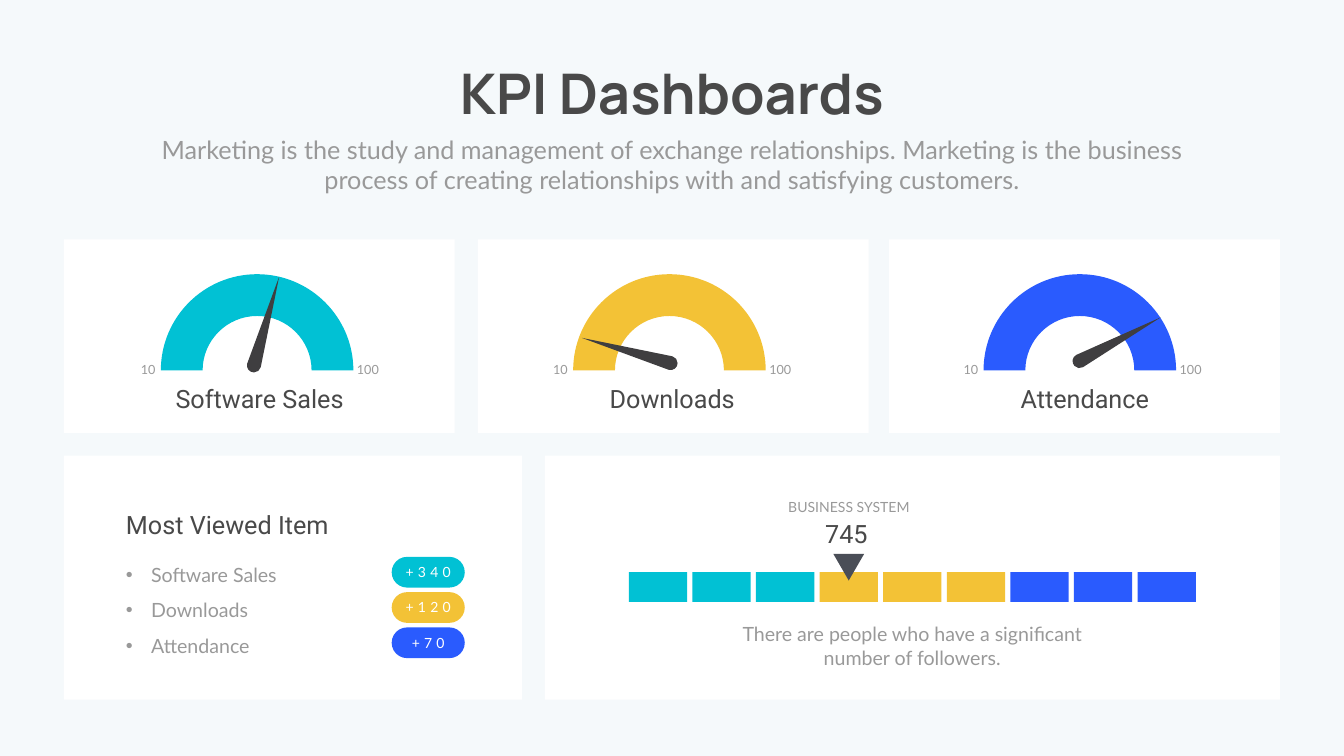
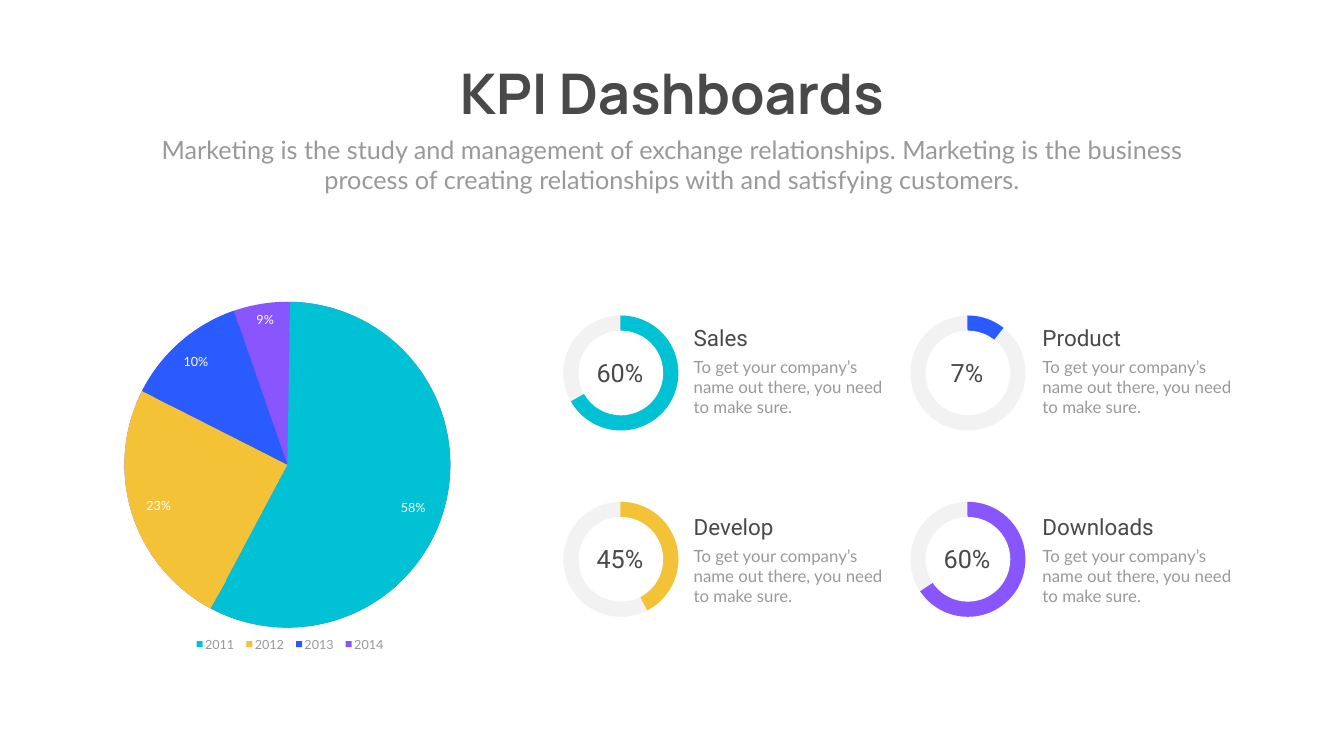
import math

from pptx import Presentation
from pptx import util as u
from pptx.dml.color import RGBColor
from pptx.enum import shapes, text
from pptx.oxml.ns import qn

Pt = u.Pt
SHAPE = shapes.MSO_SHAPE
ALIGN = text.PP_ALIGN

WHITE = RGBColor(0xFF, 0xFF, 0xFF)
PALE = RGBColor(0xF5, 0xF9, 0xFB)
TRACK = RGBColor(0xF2, 0xF2, 0xF2)
INK = RGBColor(0x49, 0x49, 0x49)
GREY = RGBColor(0x99, 0x99, 0x99)
NEEDLE = RGBColor(0x3F, 0x3E, 0x40)
MARKER = RGBColor(0x4A, 0x4E, 0x57)
CYAN = RGBColor(0x01, 0xC1, 0xD4)
YELLOW = RGBColor(0xF3, 0xC2, 0x36)
BLUE = RGBColor(0x2A, 0x5B, 0xFE)
PURPLE = RGBColor(0x89, 0x56, 0xFD)

SLIDE_W, SLIDE_H = 1919.52, 1080


def font(size, name, color, **extra):
    return {"size": Pt(size), "name": name, "color": color, **extra}


TITLE = font(80, "Manrope", INK, bold=True)
SUBTITLE = font(36, "Lato", GREY)
HEADING = font(36, "Roboto", INK)
RING_HEADING = font(32, "Roboto", INK)
BODY = font(28, "Lato", GREY)
RING_BODY = font(24, "Lato", GREY)
CAPTION = font(20, "Lato", GREY)
BADGE = font(20, "Lato", WHITE)
SMALL = font(18, "Lato", GREY)
SLICE = font(18, "Lato", WHITE)


def style_font(f, style):
    for key, value in style.items():
        if key == "color":
            f.color.rgb = value
        else:
            setattr(f, key, value)


def add_text(slide, x, y, w, h, lines, style, align=ALIGN.LEFT, wrap=True, spacing=None,
             bullet=False, tracking=0):
    tf = slide.shapes.add_textbox(Pt(x), Pt(y), Pt(w), Pt(h)).text_frame
    tf.word_wrap = wrap
    tf.auto_size = text.MSO_AUTO_SIZE.SHAPE_TO_FIT_TEXT
    tf.text = lines
    for p in tf.paragraphs:
        p.alignment = align
        if spacing:
            p.line_spacing = spacing
        if bullet:
            add_bullet(p)
        r = p.runs[0]
        style_font(r.font, style)
        if tracking:
            r.font._element.set("spc", str(tracking * 100))


def add_bullet(p, indent=Pt(36)):
    pPr = p._p.get_or_add_pPr()
    pPr.set("marL", str(indent))
    pPr.set("indent", str(-indent))
    pPr.append(pPr.makeelement(qn("a:buFont"), {"typeface": "Arial"}))
    pPr.append(pPr.makeelement(qn("a:buChar"), {"char": "•"}))


def paint(sp, fill, line_width=0):
    sp.shadow.inherit = False
    sp.fill.solid()
    sp.fill.fore_color.rgb = fill
    if line_width:
        sp.line.color.rgb = fill
        sp.line.width = Pt(line_width)
    else:
        sp.line.fill.background()
    return sp


def add_shape(slide, kind, x, y, w, h, fill, line_width=0):
    return paint(slide.shapes.add_shape(kind, Pt(x), Pt(y), Pt(w), Pt(h)), fill, line_width)


def add_sector(slide, kind, x, y, size, start, end, fill, line_width=0):
    """Pie or arc from start to end, in degrees clockwise from three o'clock."""
    sp = add_shape(slide, kind, x, y, size, size, fill, line_width)
    for i, angle in enumerate((start, end)):
        sp.adjustments[i] = angle * 0.6  # 60000 units a degree, over 100000


def add_outline(slide, start, segments, fill):
    """Closed outline; a segment of one point is a line, one of three points a Bézier curve."""
    ends = [(Pt(x), Pt(y)) for x, y in [start] + [segment[-1] for segment in segments]]
    fb = slide.shapes.build_freeform(*ends[0], scale=1.0)
    fb.add_line_segments(ends[1:], close=True)
    sp = paint(fb.convert_to_shape(), fill)
    for line, segment in zip(list(sp._element.iter(qn("a:lnTo"))), segments):
        if len(segment) == 3:
            line.tag = qn("a:cubicBezTo")
            for i, (x, y) in enumerate(segment[:2]):
                pt = line.makeelement(qn("a:pt"), {"x": str(Pt(x) - sp.left), "y": str(Pt(y) - sp.top)})
                line.insert(i, pt)
    return sp


def arc_point(cx, cy, radius, degrees):
    a = math.radians(degrees)
    return cx + radius * math.cos(a), cy + radius * math.sin(a)


def arc_curves(cx, cy, radius, *angles):
    """One Bézier curve between each two neighbouring angles."""
    curves = []
    for a, b in zip(angles, angles[1:]):
        reach = 4 / 3 * math.tan(math.radians(b - a) / 4) * radius
        (x0, y0), (x1, y1) = (arc_point(cx, cy, radius, angle) for angle in (a, b))
        ra, rb = math.radians(a), math.radians(b)
        curves.append([(x0 - reach * math.sin(ra), y0 + reach * math.cos(ra)),
                       (x1 + reach * math.sin(rb), y1 - reach * math.cos(rb)),
                       (x1, y1)])
    return curves


def header(slide):
    add_text(slide, 624.2, 80.6, 671, 104.4, "KPI Dashboards", TITLE, ALIGN.CENTER, wrap=False)
    add_text(slide, 210.2, 187.9, 1499, 94.3,
             "Marketing is the study and management of exchange relationships. Marketing is the "
             "business process of creating relationships with and satisfying customers.",
             SUBTITLE, ALIGN.CENTER)


def gauge(slide, x, y, color, needle_x, needle_y, rotation):
    radius, hole = 137.5, 77.8
    cx, cy = x + radius, y + radius
    inner_left = [arc_point(cx, cy, hole, -180)]
    add_outline(slide, arc_point(cx, cy, radius, 0),
                [*arc_curves(cx, cy, radius, 0, -90, -180), inner_left,
                 *arc_curves(cx, cy, hole, -180, -90, 0)], color)
    nx, ny = x + needle_x, y + needle_y
    hub = (nx + 10, ny + 126.8, 10)
    needle = add_outline(slide, (nx + 46, ny),
                         [[arc_point(*hub, 15)], *arc_curves(*hub, 15, 90, 195)], NEEDLE)
    needle.rotation = rotation
    add_text(slide, x - 51, y + 103, 50.4, 42.5, "10", SMALL, ALIGN.RIGHT, spacing=Pt(40.8))
    add_text(slide, x + 273, y + 103, 64.8, 42.5, "100", SMALL, spacing=Pt(40.8))


def gauge_cards(slide, y):
    gauges = [
        ("Software Sales", CYAN, 91.4, 229.7, (123, 3.6, 0)),
        ("Downloads", YELLOW, 682.6, 818.6, (57.6, 45.4, 270)),
        ("Attendance", BLUE, 1270, 1404.7, (165, 24.5, 45.8)),
    ]
    for i, (name, color, card_x, gauge_x, needle) in enumerate(gauges):
        add_shape(slide, SHAPE.RECTANGLE, card_x, y, 558, 276.5, WHITE)
        gauge(slide, gauge_x, y + 49.7, color, *needle)
        add_text(slide, 169.2 + 589.3 * i, y + 202.3, 403.2, 51, name, HEADING, ALIGN.CENTER)


def most_viewed(slide, x, y, w, h):
    add_shape(slide, SHAPE.RECTANGLE, x, y, w, h, WHITE)
    add_text(slide, x + 81.4, y + 73.4, 403.2, 51, "Most Viewed Item", HEADING)
    add_text(slide, x + 81.4, y + 133.2, 297.4, 153.4, "Software Sales\nDownloads\nAttendance",
             BODY, spacing=1.5, bullet=True)
    pill_x, pill_w = x + 468, 104.4
    for i, (count, color) in enumerate([("+340", CYAN), ("+120", YELLOW), ("+70", BLUE)]):
        pill_y = y + 144.6 + 50.4 * i
        pill = add_shape(slide, SHAPE.ROUNDED_RECTANGLE, pill_x, pill_y, pill_w, 43.9, color)
        pill.adjustments[0] = 0.5
        count_w = 13.7 + 18 * len(count)
        add_text(slide, pill_x + (pill_w - count_w) / 2, pill_y + 6.1, count_w, 31.7, count,
                 BADGE, ALIGN.CENTER, wrap=False, tracking=6)


def business_scale(slide, x, y, w, h):
    add_shape(slide, SHAPE.RECTANGLE, x, y, w, h, WHITE)
    add_text(slide, x + 304.6, y + 41, 259.2, 42.5, "BUSINESS SYSTEM", CAPTION, ALIGN.CENTER, spacing=Pt(40.8))
    add_text(slide, x + 357.1, y + 85.7, 146.9, 51, "745", HEADING, ALIGN.CENTER)
    for i in range(9):
        color = (CYAN, YELLOW, BLUE)[i // 3]
        add_shape(slide, SHAPE.RECTANGLE, x + 119.7 + 90.83 * i, y + 166.3, 83.3, 42.5, color)
    mx, my = x + 411.9, y + 140.4
    add_outline(slide, (mx + 22, my + 38), [[(mx + 44, my)], [(mx, my)]], MARKER)
    add_text(slide, x + 262.8, y + 234.7, 523.4, 74.9,
             "There are people who have a significant number of followers.", BODY, ALIGN.CENTER)


def year_pie(slide, x, y, size):
    years = [
        ("2011", CYAN, "58%", 364.3, 257),
        ("2012", YELLOW, "23%", 0.7, 253.6),
        ("2013", BLUE, "10%", 54, 48.2),
        ("2014", PURPLE, "9%", 147.6, -11.5),
    ]
    edges = [270.97, 118, 206.9, 250.8]
    add_shape(slide, SHAPE.OVAL, x, y, size, size, PURPLE, 45)
    for (_, color, *_), start, end in zip(years, edges, edges[1:]):
        add_sector(slide, SHAPE.ARC, x, y, size, start, end, color, 45)
    for i, (year, color, share, dx, dy) in enumerate(years):
        add_text(slide, x + dx, y + dy, 50.4, 28.8, share, SLICE, ALIGN.RIGHT)
        key_x = x + 80.6 + 71 * i
        add_text(slide, key_x + 5, y + 452.9, 57.6, 28.8, year, SMALL)
        add_shape(slide, SHAPE.RECTANGLE, key_x, y + 462.2, 8.6, 8.6, color)


def ring(slide, x, y, value, color, end):
    size, band = 164.2, 21.6
    hole = size - 2 * band
    add_sector(slide, SHAPE.PIE, x, y, size, 269.94, 269.88, TRACK)
    add_sector(slide, SHAPE.PIE, x, y, size, 269.44, end, color)
    add_shape(slide, SHAPE.OVAL, x + band, y + band, hole, hole, WHITE)
    add_text(slide, x + 25.4, y + 55.6, 110.9, 51, value, HEADING, ALIGN.CENTER)


def ring_note(slide, x, y, name):
    add_text(slide, x, y, 359.3, 46, name, RING_HEADING)
    add_text(slide, x, y + 46.4, 301, 94.3,
             "To get your company’s name out there, you need to make sure.", RING_BODY)


def ring_grid(slide, x, y):
    rings = [
        ("Sales", "60%", CYAN, 150.36),
        ("Product", "7%", BLUE, 308.24),
        ("Develop", "45%", YELLOW, 62.76),
        ("Downloads", "60%", PURPLE, 146.22),
    ]
    for i, (name, *values) in enumerate(rings):
        row, col = divmod(i, 2)
        ring(slide, x + 495.7 * col, y + 266.2 * row, *values)
        ring_note(slide, x + 179 + 498.2 * col, y + 8.9 + 269.6 * row, name)


def gauge_slide(slide):
    add_shape(slide, SHAPE.RECTANGLE, 0, 0, SLIDE_W, SLIDE_H, PALE)
    header(slide)
    gauge_cards(slide, 342)
    most_viewed(slide, 91.4, 650.9, 653.8, 348.5)
    business_scale(slide, 778.3, 650.9, 1049.8, 348.5)


def ring_slide(slide):
    header(slide)
    year_pie(slide, 200.2, 453.6, 420.5)
    ring_grid(slide, 804.6, 450.7)


def main():
    prs = Presentation()
    prs.slide_width, prs.slide_height = Pt(SLIDE_W), Pt(SLIDE_H)
    for build in (gauge_slide, ring_slide):
        build(prs.slides.add_slide(prs.slide_layouts[6]))
    prs.save("out.pptx")


if __name__ == "__main__":
    main()
